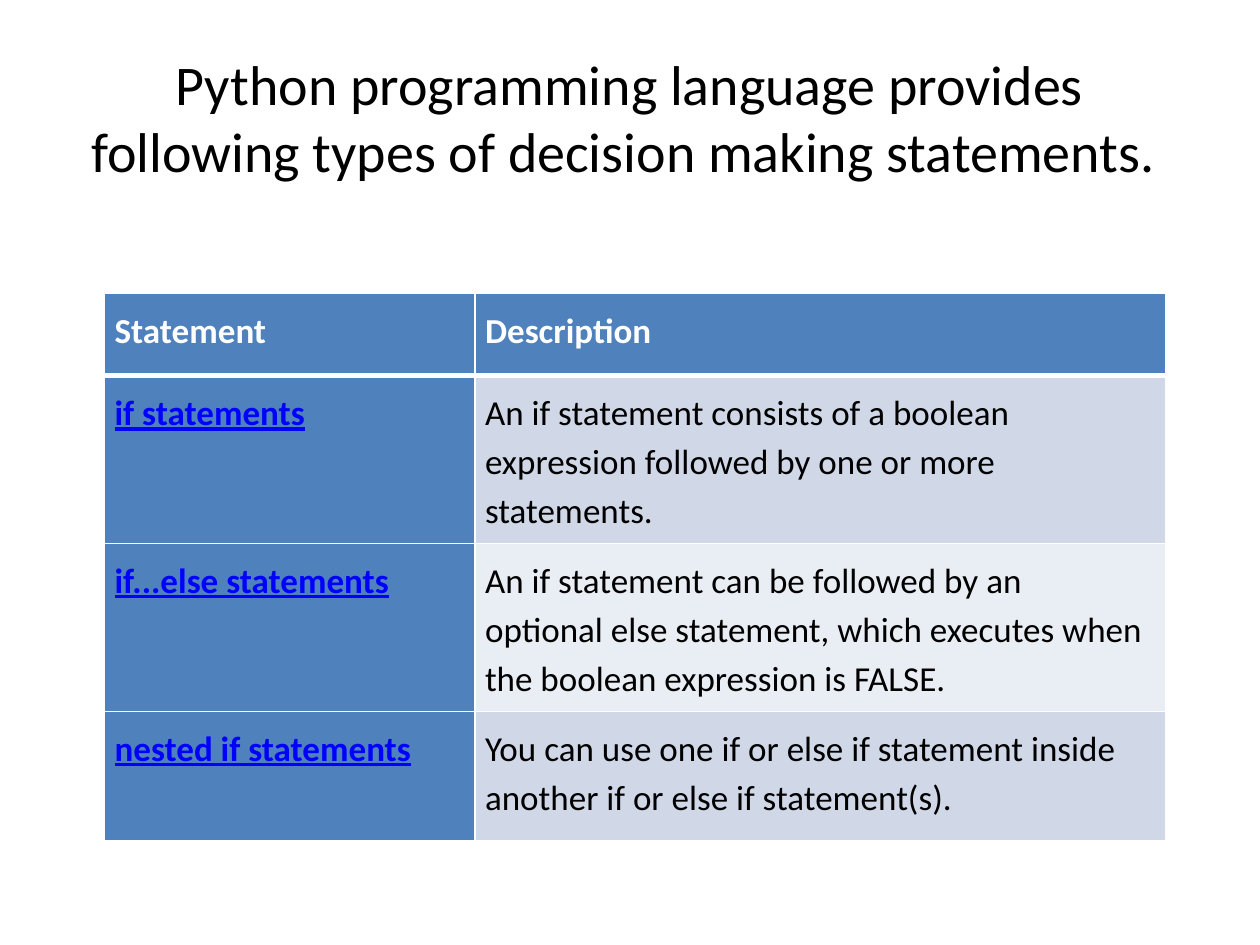
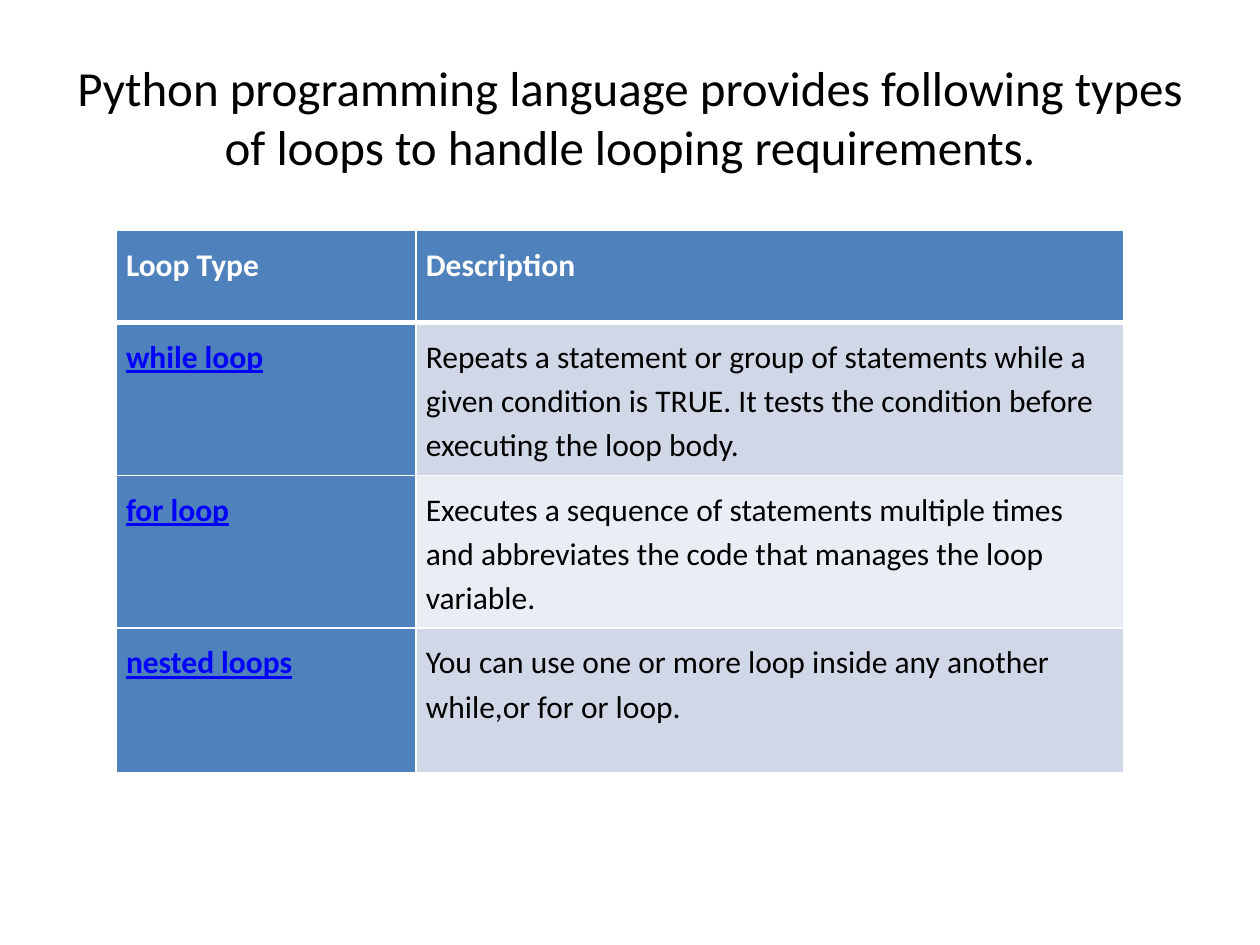
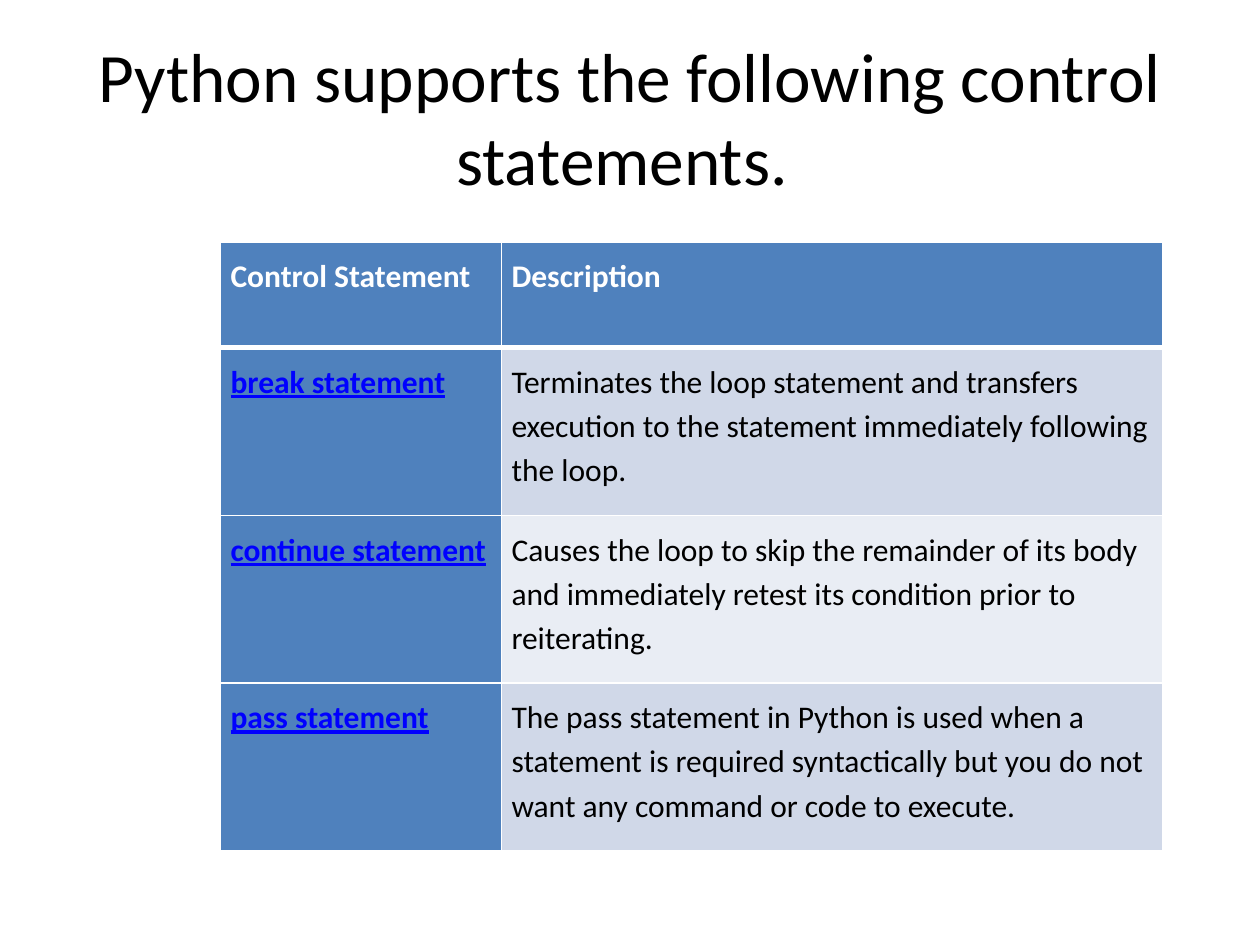
from lxml import etree
from pptx import Presentation
from pptx.dml.color import RGBColor
from pptx.enum.text import MSO_ANCHOR, MSO_AUTO_SIZE, PP_ALIGN
from pptx.oxml.ns import qn
from pptx.util import Inches, Pt

CENTER, LEFT = PP_ALIGN.CENTER, PP_ALIGN.LEFT
MIDDLE, TOP = MSO_ANCHOR.MIDDLE, MSO_ANCHOR.TOP
NO_AUTOFIT = MSO_AUTO_SIZE.NONE

SLIDE_W, SLIDE_H = 10, 7.5
TITLE_ONLY = 5
TITLE_BOX = (0.5, 0.3, 9, 1.25)
CELL_MARGIN = 0.08
FONT = "Calibri"
WHITE, BLACK = "FFFFFF", "000000"
BLUE, LINK = "4F81BD", "0000FF"
BANDS = ("D0D8E8", "E9EDF4")
THIN, THICK = 1, 3

TOPICS = [
    {
        "title": "Python programming language provides following types of "
                 "decision making statements. ",
        "title_size": 32, "text_size": 20,
        "corner": (0.83, 2.33), "columns": (2.94, 5.48), "rows": (0.65, 1.03),
        "heads": ("Statement", "Description"),
        "entries": [
            ("if statements",
             "An\u00a0if statement\u00a0consists of a boolean expression "
             "followed by one or more statements."),
            ("if...else statements",
             "An\u00a0if statement\u00a0can be followed by an "
             "optional\u00a0else statement, which executes when the boolean "
             "expression is FALSE."),
            ("nested if statements",
             "You can use one\u00a0if\u00a0or\u00a0else if\u00a0statement "
             "inside another\u00a0if\u00a0or\u00a0else if\u00a0statement(s)."),
        ],
    },
    {
        "title": "Python programming language provides following types of "
                 "loops to handle looping requirements.",
        "title_size": 28, "text_size": 18,
        "corner": (0.92, 1.83), "columns": (2.38, 5.62), "rows": (0.73, 1.15),
        "heads": ("Loop Type", "Description"),
        "entries": [
            ("while loop",
             "Repeats a statement or group of statements while a given "
             "condition is TRUE. It tests the condition before executing the "
             "loop body."),
            ("for loop",
             "Executes a sequence of statements multiple times and "
             "abbreviates the code that manages the loop variable."),
            ("nested loops",
             "You can use one or more loop inside any another while,or for "
             "or loop."),
        ],
    },
    {
        "title": "Python supports the following control statements. ",
        "title_size": 39.6, "text_size": 18,
        "corner": (1.75, 1.92), "columns": (2.23, 5.25), "rows": (0.84, 1.33),
        "heads": ("Control Statement", "Description"),
        "entries": [
            ("break statement",
             "Terminates the loop statement and transfers execution to the "
             "statement immediately following the loop."),
            ("continue statement",
             "Causes the loop to skip the remainder of its body and "
             "immediately retest its condition prior to reiterating."),
            ("pass statement",
             "The pass statement in Python is used when a statement is "
             "required syntactically but you do not want any command or code "
             "to execute."),
        ],
    },
]


def color(hex_code):
    """Turn a hex string into a colour."""
    return RGBColor.from_string(hex_code)


def style_runs(paragraph, size, ink, bold=False, underline=False):
    """Format every run of a paragraph."""
    for run in paragraph.runs:
        run.font.name = FONT
        run.font.size = Pt(size)
        run.font.color.rgb = color(ink)
        run.font.bold = bold
        run.font.underline = underline


def add_title(slide, text, size):
    """Fill and place the title placeholder."""
    title = slide.shapes.title
    title.left, title.top, title.width, title.height = map(Inches, TITLE_BOX)
    frame = title.text_frame
    frame.text = text
    frame.word_wrap = True
    frame.auto_size = NO_AUTOFIT
    frame.vertical_anchor = MIDDLE
    frame.paragraphs[0].alignment = CENTER
    style_runs(frame.paragraphs[0], size, BLACK)


def set_borders(cell, top, bottom):
    """Draw white cell borders; top and bottom widths are in points."""
    properties = cell._tc.get_or_add_tcPr()
    sides = (("a:lnL", THIN), ("a:lnR", THIN), ("a:lnT", top), ("a:lnB", bottom))
    for position, (side, width) in enumerate(sides):
        line = etree.Element(qn(side), w=str(Pt(width)))
        fill = etree.SubElement(line, qn("a:solidFill"))
        etree.SubElement(fill, qn("a:srgbClr"), val=WHITE)
        properties.insert(position, line)


def fill_cell(cell, text, size, fill, ink, bold=False, underline=False):
    """Write one table cell with its fill, margins and text style."""
    cell.fill.solid()
    cell.fill.fore_color.rgb = color(fill)
    cell.margin_left = cell.margin_right = Inches(CELL_MARGIN)
    cell.margin_top = cell.margin_bottom = Inches(CELL_MARGIN)
    cell.vertical_anchor = TOP
    cell.text = text
    paragraph = cell.text_frame.paragraphs[0]
    paragraph.alignment = LEFT
    paragraph.line_spacing = 1.15
    paragraph.space_after = Pt(10)
    style_runs(paragraph, size, ink, bold, underline)


def add_statement_table(slide, topic):
    """Add a header row and one banded row for each statement."""
    entries, size = topic["entries"], topic["text_size"]
    head_height, entry_height = topic["rows"]
    heights = [head_height] + [entry_height] * len(entries)
    box = (*topic["corner"], sum(topic["columns"]), sum(heights))
    table = slide.shapes.add_table(
        len(heights), len(topic["columns"]), *map(Inches, box)).table
    for column, width in zip(table.columns, topic["columns"]):
        column.width = Inches(width)
    for row, height in zip(table.rows, heights):
        row.height = Inches(height)

    for column, head in enumerate(topic["heads"]):
        cell = table.cell(0, column)
        fill_cell(cell, head, size, BLUE, WHITE, bold=True)
        set_borders(cell, THIN, THICK)
    for row, (statement, description) in enumerate(entries, start=1):
        name_cell, description_cell = table.cell(row, 0), table.cell(row, 1)
        fill_cell(name_cell, statement, size, BLUE, LINK,
                  bold=True, underline=True)
        fill_cell(description_cell, description, size,
                  BANDS[(row - 1) % len(BANDS)], BLACK)
        for cell in (name_cell, description_cell):
            set_borders(cell, THICK if row == 1 else THIN, THIN)


def main():
    """Build one slide for each topic and save the presentation."""
    deck = Presentation()
    deck.slide_width, deck.slide_height = Inches(SLIDE_W), Inches(SLIDE_H)
    for topic in TOPICS:
        slide = deck.slides.add_slide(deck.slide_layouts[TITLE_ONLY])
        add_title(slide, topic["title"], topic["title_size"])
        add_statement_table(slide, topic)
    deck.save("out.pptx")


main()
